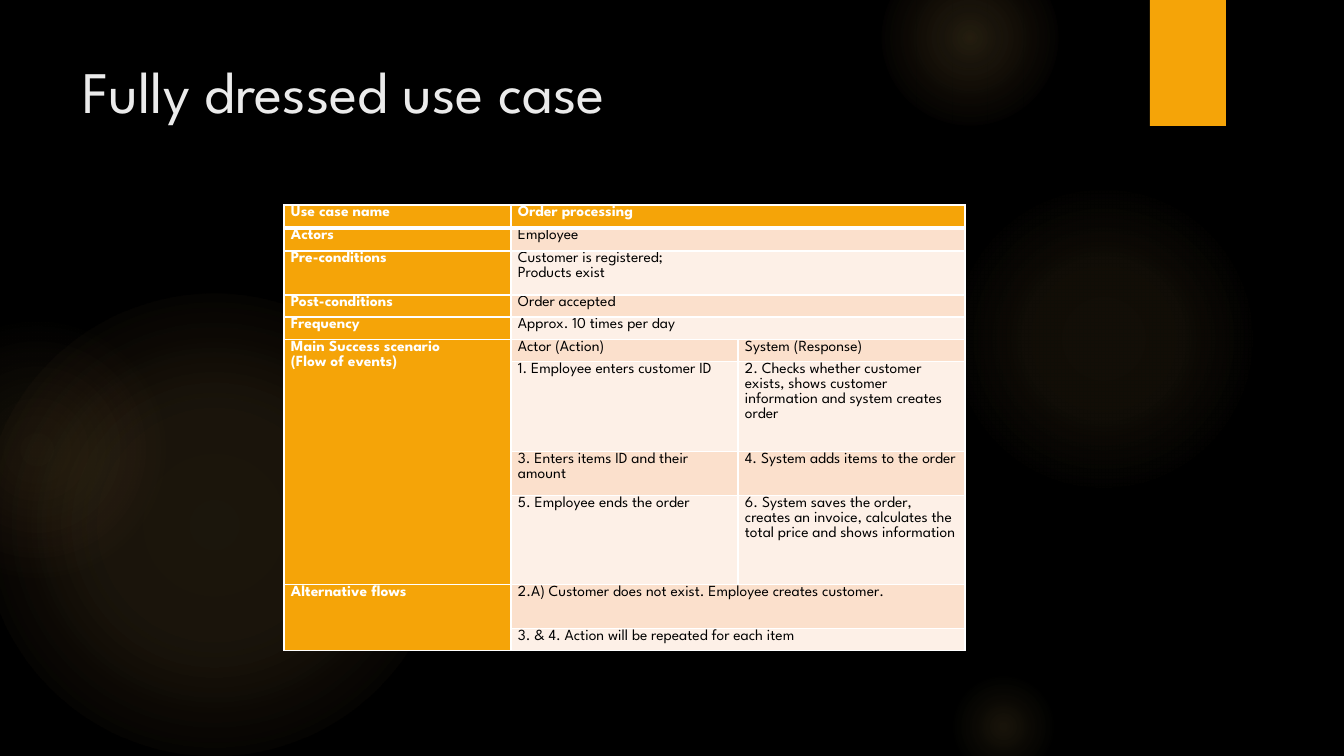
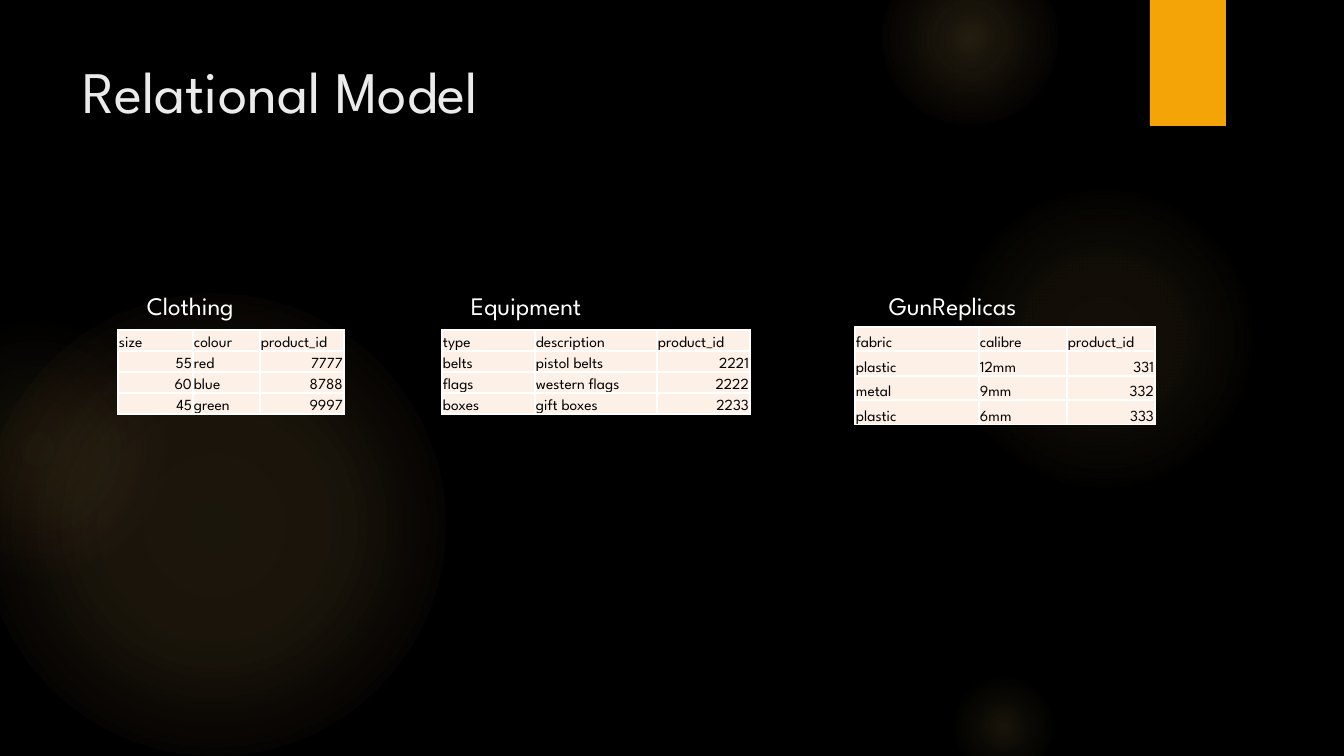
from lxml.etree import SubElement
from pptx import Presentation
from pptx.dml.color import RGBColor
from pptx.enum.shapes import MSO_SHAPE as Preset
from pptx.enum.text import MSO_ANCHOR as Anchor, MSO_AUTO_SIZE as AutoSize, PP_ALIGN as Align
from pptx.oxml.ns import qn
from pptx.util import Emu, Pt

FONT = "League Spartan"
BLACK = RGBColor(0x00, 0x00, 0x00)
WHITE = RGBColor(0xFF, 0xFF, 0xFF)
TITLE_GREY = RGBColor(0xEB, 0xEB, 0xEB)
ORANGE = RGBColor(0xF5, 0xA4, 0x08)
PEACH = RGBColor(0xFB, 0xE0, 0xCC)
CREAM = RGBColor(0xFD, 0xF0, 0xE7)
GLOW = RGBColor(0xFA, 0xC9, 0x6A)
GLOW_EDGE = RGBColor(0xF5, 0x9B, 0x74)

GLOWS = [
    ((-17, 294, 462), [(0, GLOW, 11), (36, GLOW, 10), (75, GLOW, 0)]),
    ((-93, 320, 260), [(0, GLOW, 8), (36, GLOW, 5), (71, GLOW_EDGE, 0)]),
    ((949, 184, 310), [(0, GLOW, 7), (36, GLOW, 6), (69, GLOW, 0)]),
    ((882, -50, 176), [(0, GLOW, 14), (36, GLOW, 7), (73, GLOW, 0)]),
    ((949, 672, 109), [(0, GLOW, 10), (31, GLOW, 5), (66, GLOW, 0)]),
]

USE_CASE_ROWS = [
    (23, "Use case name", "Order processing", None),
    (23, "Actors", "Employee", None),
    (44, "Pre-conditions", "Customer is registered;\nProducts exist", None),
    (22, "Post-conditions", "Order accepted", None),
    (23, "Frequency", "Approx. 10 times per day", None),
    (22, "Main Success scenario\n(Flow of events)", "Actor (Action)", "System (Response)"),
    (90, None, "1. Employee enters customer ID",
     "2. Checks whether customer exists, shows customer information and system creates order"),
    (44, None, "3. Enters items ID and their amount", "4. System adds items to the order"),
    (89, None, "5. Employee ends the order",
     "6. System saves the order, creates an invoice, calculates the total price and shows information"),
    (44, "Alternative flows", "2.A) Customer does not exist. Employee creates customer.", None),
    (22, None, "3. & 4. Action will be repeated for each item", None),
]

RELATIONS = [
    ("Clothing", (137, 285, 186), (118, 330), (75, 67, 84), (21,) * 4,
     [("size", "colour", "product_id"), ("55", "red", "7777"),
      ("60", "blue", "8788"), ("45", "green", "9997")]),
    ("Equipment", (461, 285, 236), (442, 330), (93, 122, 93), (21,) * 4,
     [("type", "description", "product_id"), ("belts", "pistol belts", "2221"),
      ("flags", "western flags", "2222"), ("boxes", "gift boxes", "2233")]),
    ("GunReplicas", (879, 285, 230), (855, 327), (124, 88, 88), (24, 25) * 2,
     [("fabric", "calibre", "product_id"), ("plastic", "12mm", "331"),
      ("metal", "9mm", "332"), ("plastic", "6mm", "333")]),
]


def px(length):
    return Emu(round(length * 914400 / 100.8))


def write(frame, text, size=11, color=BLACK, bold=False, align=Align.LEFT, spacing=None):
    frame.word_wrap = True
    for index, line in enumerate(text.split("\n")):
        paragraph = frame.add_paragraph() if index else frame.paragraphs[0]
        paragraph.alignment = align
        if spacing:
            paragraph.line_spacing = spacing
        run = paragraph.add_run()
        run.text = line
        run.font.name = FONT
        run.font.size = Pt(size)
        run.font.bold = bold
        run.font.color.rgb = color


def add_plain_shape(slide, preset, box):
    shape = slide.shapes.add_shape(preset, *map(px, box))
    shape.shadow.inherit = False
    shape.line.fill.background()
    return shape


def fill_radial(shape, stops):
    shape.fill.background()
    properties = shape.element.spPr
    empty_fill = properties.find(qn("a:noFill"))
    gradient = SubElement(properties, qn("a:gradFill"), rotWithShape="1")
    properties.replace(empty_fill, gradient)
    stop_list = SubElement(gradient, qn("a:gsLst"))
    for position, color, opacity in stops:
        stop = SubElement(stop_list, qn("a:gs"), pos=str(position * 1000))
        value = SubElement(stop, qn("a:srgbClr"), val=str(color))
        SubElement(value, qn("a:alpha"), val=str(opacity * 1000))
    circle = SubElement(gradient, qn("a:path"), path="circle")
    SubElement(circle, qn("a:fillToRect"), l="50000", t="50000", r="50000", b="50000")


def decorate_layout(slide):
    layout = slide.slide_layout
    fill = layout.background.fill
    fill.solid()
    fill.fore_color.rgb = BLACK
    decorations = []
    for (left, top, size), stops in GLOWS:
        glow = add_plain_shape(slide, Preset.OVAL, (left, top, size, size))
        fill_radial(glow, stops)
        decorations.append(glow)
    tab = add_plain_shape(slide, Preset.RECTANGLE, (1150, 0, 76, 126))
    tab.fill.solid()
    tab.fill.fore_color.rgb = ORANGE
    decorations.append(tab)
    for shape in decorations:
        layout.element.cSld.spTree.append(shape.element)


def add_titled_slide(presentation, title):
    slide = presentation.slides.add_slide(presentation.slide_layouts[5])
    shape = slide.shapes.title
    shape.left, shape.top, shape.width, shape.height = map(px, (72, 50, 1037, 154))
    frame = shape.text_frame
    frame.vertical_anchor = Anchor.TOP
    frame.auto_size = AutoSize.NONE
    write(frame, title, size=42, color=TITLE_GREY)
    return slide


def add_grid(slide, corner, columns, rows):
    box = (*corner, sum(columns), sum(rows))
    table = slide.shapes.add_table(len(rows), len(columns), *map(px, box)).table
    table.first_row = table.horz_banding = False
    for column, width in zip(table.columns, columns):
        column.width = px(width)
    for row, height in zip(table.rows, rows):
        row.height = px(height)
    return table


def style_cell(cell, color, insets, anchor=Anchor.TOP, top=1, bottom=1):
    cell.margin_left, cell.margin_top, cell.margin_right, cell.margin_bottom = map(px, insets)
    cell.vertical_anchor = anchor
    cell.fill.solid()
    cell.fill.fore_color.rgb = color
    properties = cell._tc.get_or_add_tcPr()
    edges = (("a:lnL", 1), ("a:lnR", 1), ("a:lnT", top), ("a:lnB", bottom))
    for index, (tag, width) in enumerate(edges):
        line = SubElement(properties, qn(tag), w=str(Pt(width)))
        SubElement(SubElement(line, qn("a:solidFill")), qn("a:srgbClr"), val=str(WHITE))
        properties.insert(index, line)


def add_use_case_table(slide, corner):
    table = add_grid(slide, corner, (227,) * 3, [row[0] for row in USE_CASE_ROWS])
    for row, (_, *texts) in enumerate(USE_CASE_ROWS):
        band = PEACH if row % 2 else CREAM
        for column, text in enumerate(texts):
            cell = table.cell(row, column)
            heading = row == 0 or column == 0
            style_cell(cell, ORANGE if heading else band, (7, 0, 7, 0),
                       top=3 if row == 1 else 1, bottom=3 if row == 0 else 1)
            if text:
                write(cell.text_frame, text, color=WHITE if heading else BLACK,
                      bold=heading, spacing=1.07)
        if texts[2] is None:
            table.cell(row, 1).merge(table.cell(row, 2))
    for first, last in ((5, 8), (9, 10)):
        table.cell(first, 0).merge(table.cell(last, 0))


def add_relation(slide, name, label_box, corner, columns, rows, records):
    table = add_grid(slide, corner, columns, rows)
    for row, record in enumerate(records):
        for column, text in enumerate(record):
            cell = table.cell(row, column)
            style_cell(cell, CREAM, (1, 1, 1, 0), anchor=Anchor.BOTTOM)
            write(cell.text_frame, text, align=Align.RIGHT if text.isdigit() else Align.LEFT)
    label = slide.shapes.add_textbox(*map(px, (*label_box, 40)))
    write(label.text_frame, name, size=18, color=WHITE)


def main():
    presentation = Presentation()
    presentation.slide_width = px(1344)
    presentation.slide_height = px(756)

    use_case_slide = add_titled_slide(presentation, "Fully dressed use case")
    decorate_layout(use_case_slide)
    add_use_case_table(use_case_slide, (284, 205))

    relational_slide = add_titled_slide(presentation, "Relational Model")
    for relation in RELATIONS:
        add_relation(relational_slide, *relation)

    presentation.save("out.pptx")


main()
